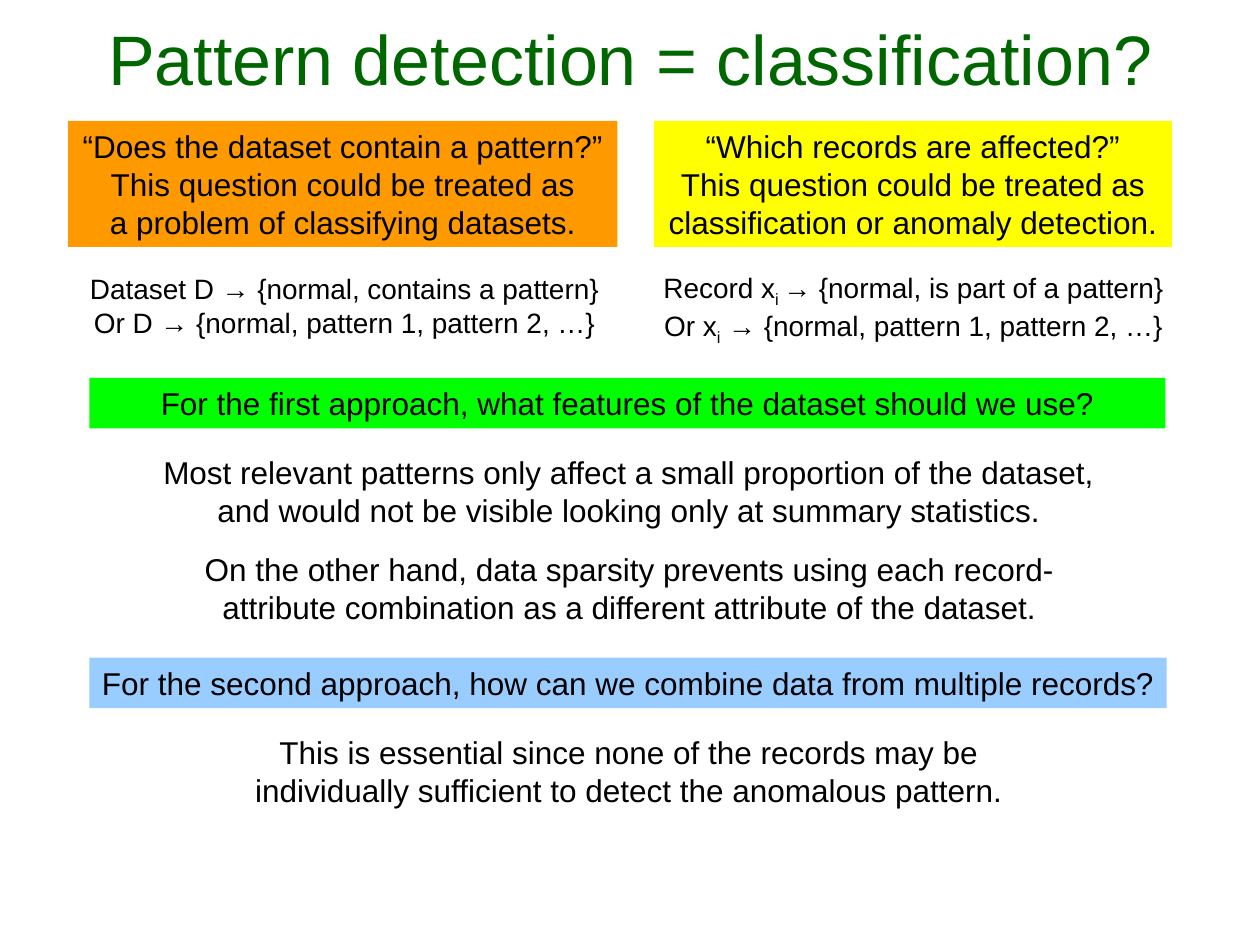
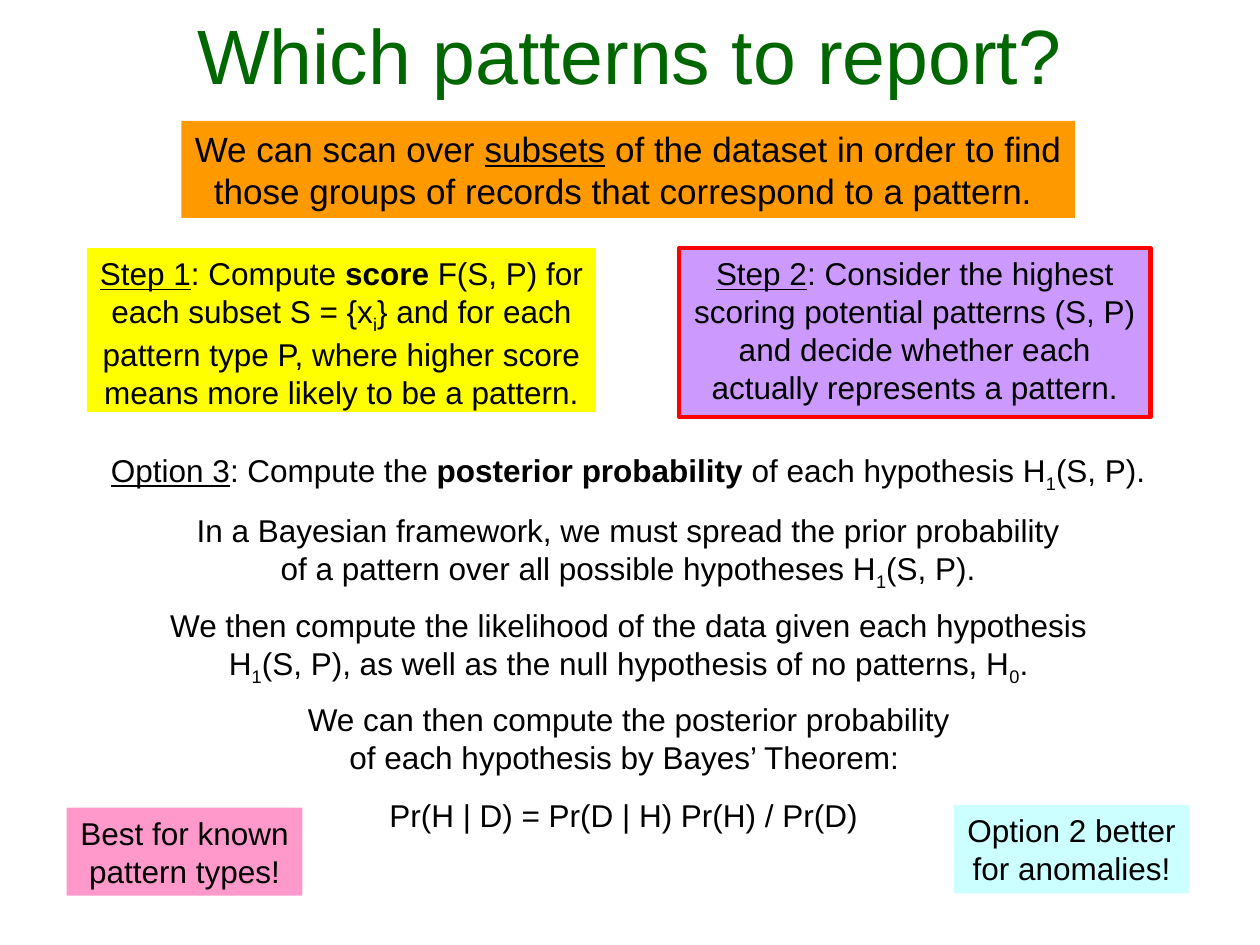
"""Build two slides on pattern detection and on choosing which patterns to report."""
from pptx import Presentation
from pptx.dml.color import RGBColor
from pptx.enum.shapes import MSO_SHAPE
from pptx.enum.text import MSO_ANCHOR, MSO_AUTO_SIZE, PP_ALIGN
from pptx.util import Inches, Pt

FONT = "Arial"
GREEN, BLACK, RED = "006600", "000000", "FF0000"
ORANGE, YELLOW, LIME, BLUE = "FF9900", "FFFF00", "00FF00", "99CCFF"
PURPLE, PINK, CYAN = "CC99FF", "FF99CC", "CCFFFF"
TITLE_BOX = (0.5, 0.08, 9, 0.76)


def rgb(code):
    return RGBColor.from_string(code)


def sub(text):
    return text, "sub"


def bold(text):
    return text, "bold"


def under(text):
    return text, "under"


def add_pieces(paragraph, pieces):
    for piece in pieces:
        text, style = (piece, None) if isinstance(piece, str) else piece
        run = paragraph.add_run()
        run.text = text
        if style == "bold":
            run.font.bold = True
        elif style == "under":
            run.font.underline = True
        elif style == "sub":
            run._r.get_or_add_rPr().set("baseline", "-25000")


def write(frame, paragraphs, size, color=BLACK, wrap=True, anchor=MSO_ANCHOR.TOP):
    frame.word_wrap = wrap
    frame.auto_size = MSO_AUTO_SIZE.NONE
    frame.vertical_anchor = anchor
    for index, pieces in enumerate(paragraphs):
        paragraph = frame.add_paragraph() if index else frame.paragraphs[0]
        add_pieces(paragraph, [pieces] if isinstance(pieces, str) else pieces)
        paragraph.alignment = PP_ALIGN.CENTER
        paragraph.font.name = FONT
        paragraph.font.size = Pt(size)
        paragraph.font.color.rgb = rgb(color)


def add_titled_slide(deck, heading, size):
    slide = deck.slides.add_slide(deck.slide_layouts[5])
    title = slide.shapes.title
    title.left, title.top, title.width, title.height = map(Inches, TITLE_BOX)
    write(title.text_frame, [heading], size, GREEN, anchor=MSO_ANCHOR.BOTTOM)
    return slide


def add_text(slide, box, *paragraphs, size=18, wrap=True):
    area = slide.shapes.add_textbox(*map(Inches, box))
    write(area.text_frame, paragraphs, size, wrap=wrap)


def add_panel(slide, box, fill, *paragraphs, size=18, border=None, wrap=True):
    panel = slide.shapes.add_shape(MSO_SHAPE.RECTANGLE, *map(Inches, box))
    panel.shadow.inherit = False
    panel.fill.solid()
    panel.fill.fore_color.rgb = rgb(fill)
    if border:
        panel.line.color.rgb = rgb(border)
        panel.line.width = Pt(2.5)
    else:
        panel.line.fill.background()
    write(panel.text_frame, paragraphs, size, wrap=wrap)


def build_classification(deck):
    slide = add_titled_slide(deck, "Pattern detection = classification?", 40)
    add_panel(slide, (0.54, 0.96, 4.36, 1), ORANGE,
              "“Does the dataset contain a pattern?”",
              "This question could be treated as",
              "a problem of classifying datasets.")
    add_panel(slide, (5.19, 0.96, 4.11, 1), YELLOW,
              "“Which records are affected?”",
              "This question could be treated as classification or anomaly detection.")
    add_text(slide, (0.61, 2.11, 4.25, 0.64),
             "Dataset D → {normal, contains a pattern}",
             "Or D → {normal, pattern 1, pattern 2, …}", size=16, wrap=False)
    add_text(slide, (5.14, 2.1, 4.22, 0.64),
             ["Record x", sub("i "), "→ {normal, is part of a pattern}"],
             ["Or x", sub("i"), " → {normal, pattern 1, pattern 2, …}"],
             size=16, wrap=False)
    add_panel(slide, (0.71, 3, 8.54, 0.4), LIME,
              "For the first approach, what features of the dataset should we use?")
    add_text(slide, (1.04, 3.55, 7.9, 0.7),
             "Most relevant patterns only affect a small proportion of the dataset, "
             "and would not be visible looking only at summary statistics.")
    add_text(slide, (1.48, 4.32, 7.03, 0.7),
             "On the other hand, data sparsity prevents using each record-attribute "
             "combination as a different attribute of the dataset.")
    add_panel(slide, (0.71, 5.22, 8.55, 0.4), BLUE,
              "For the second approach, how can we combine data from multiple records?",
              wrap=False)
    add_text(slide, (1.5, 5.77, 6.98, 0.7),
             "This is essential since none of the records may be individually "
             "sufficient to detect the anomalous pattern.")


def build_reporting(deck):
    slide = add_titled_slide(deck, "Which patterns to report?", 44)
    add_panel(slide, (1.44, 0.96, 7.09, 0.77), ORANGE,
              ["We can scan over ", under("subsets"),
               " of the dataset in order to find those groups of records "
               "that correspond to a pattern. "], size=20)
    add_panel(slide, (0.69, 1.97, 4.04, 1.3), YELLOW,
              [under("Step 1"), ": Compute ", bold("score"),
               " F(S, P) for each subset S = {x", sub("i"),
               "} and for each pattern type P, where higher score means "
               "more likely to be a pattern."])
    add_panel(slide, (5.39, 1.97, 3.74, 1.34), PURPLE,
              [under("Step 2"),
               ": Consider the highest scoring potential patterns (S, P) and "
               "decide whether each actually represents a pattern."], border=RED)
    add_text(slide, (0.61, 3.53, 8.75, 0.4),
             [under("Option 3"), ": Compute the ", bold("posterior probability"),
              " of each hypothesis H", sub("1"), "(S, P)."])
    add_text(slide, (1.4, 4.01, 7.17, 0.7),
             ["In a Bayesian framework, we must spread the prior probability "
              "of a pattern over all possible hypotheses H", sub("1"), "(S, P)."])
    add_text(slide, (1.11, 4.76, 7.76, 0.7),
             ["We then compute the likelihood of the data given each hypothesis H",
              sub("1"), "(S, P), as well as the null hypothesis of no patterns, H",
              sub("0"), "."])
    add_text(slide, (2.28, 5.51, 5.42, 0.7),
             "We can then compute the posterior probability of each hypothesis "
             "by Bayes’ Theorem: ")
    add_text(slide, (2.99, 6.27, 3.99, 0.4),
             "Pr(H | D) = Pr(D | H) Pr(H) / Pr(D) ", wrap=False)
    add_panel(slide, (0.53, 6.41, 1.87, 0.7), PINK, "Best for known pattern types!")
    add_panel(slide, (7.57, 6.39, 1.87, 0.7), CYAN, "Option 2 better for anomalies!")


def main():
    deck = Presentation()
    deck.slide_width, deck.slide_height = Inches(10), Inches(7.5)
    build_classification(deck)
    build_reporting(deck)
    deck.save("out.pptx")


if __name__ == "__main__":
    main()
